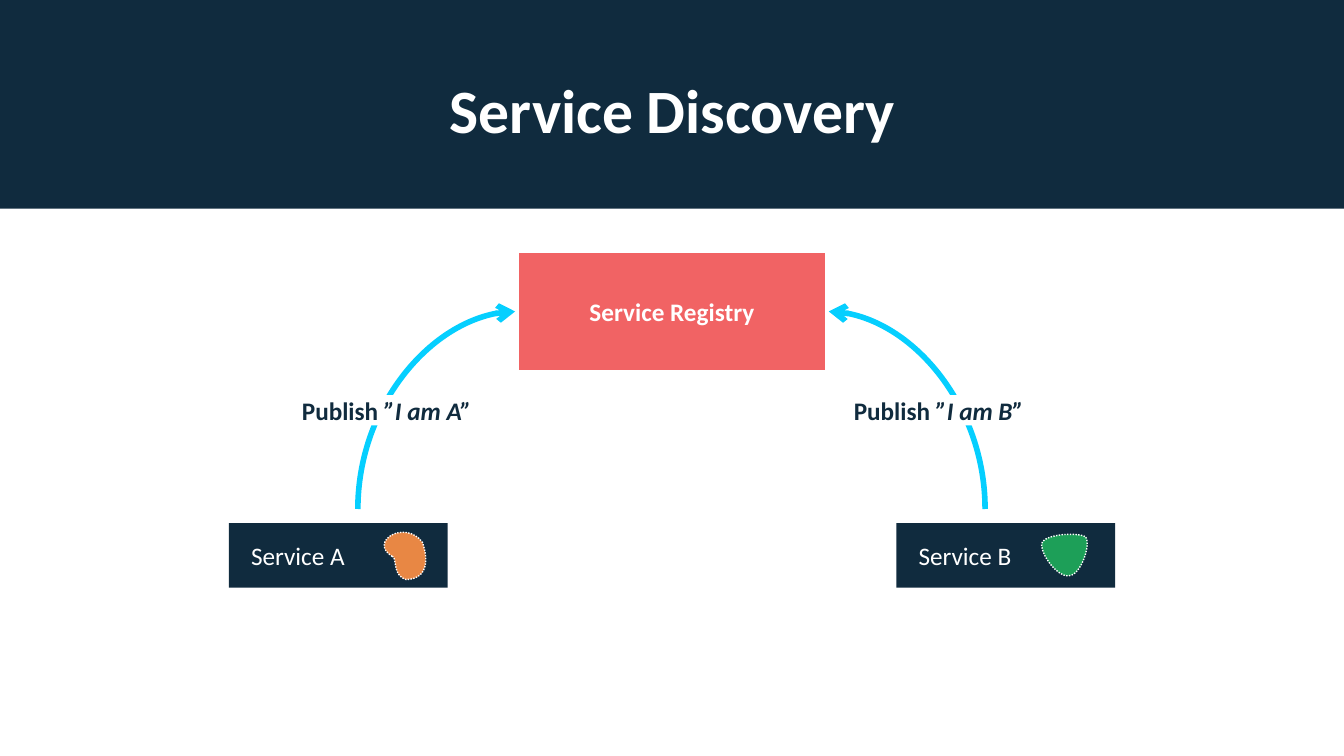
from lxml import etree
from pptx import Presentation
from pptx.dml.color import RGBColor
from pptx.enum.dml import MSO_LINE
from pptx.enum.shapes import MSO_CONNECTOR, MSO_SHAPE
from pptx.enum.text import MSO_ANCHOR, PP_ALIGN
from pptx.oxml.ns import qn
from pptx.util import Inches, Pt

RECTANGLE = MSO_SHAPE.RECTANGLE
CURVE = MSO_CONNECTOR.CURVE
CENTER, LEFT = PP_ALIGN.CENTER, PP_ALIGN.LEFT
MIDDLE = MSO_ANCHOR.MIDDLE
DOTTED = MSO_LINE.ROUND_DOT

FONT = "Calibri"
COLORS = {
    "navy": "102B3E",
    "white": "FFFFFF",
    "coral": "F16364",
    "cyan": "05CFFF",
    "orange": "E88744",
    "green": "1D9F58",
}
REGISTRY_LEFT, REGISTRY_WIDTH = 5.11, 3.11
ARROW_TOP, ARROW_BOTTOM = 3.09, 5.05
CURVE_STEPS = 16


def color(name):
    return RGBColor.from_string(COLORS[name])


def add_box(left, top, width, height, fill, runs=(), text_color="white", bold=False, align=CENTER):
    """Add a plain filled rectangle; runs is a list of (text, italic) pairs."""
    box = slide.shapes.add_shape(
        RECTANGLE, Inches(left), Inches(top), Inches(width), Inches(height))
    box.shadow.inherit = False
    box.fill.solid()
    box.fill.fore_color.rgb = color(fill)
    box.line.fill.background()
    box.text_frame.vertical_anchor = MIDDLE
    paragraph = box.text_frame.paragraphs[0]
    paragraph.alignment = align
    paragraph.font.name = FONT
    paragraph.font.size = Pt(18)
    paragraph.font.bold = bold
    paragraph.font.color.rgb = color(text_color)
    for text, italic in runs:
        run = paragraph.add_run()
        run.text = text
        if italic:
            run.font.italic = True
    return box


prs = Presentation()
prs.slide_width, prs.slide_height = Inches(13.33), Inches(7.5)
slide = prs.slides.add_slide(prs.slide_layouts[5])

# Header band with the title on top of it
title = slide.shapes.title
header = add_box(0, 0, 13.33, 2.07, "navy")
title._element.addprevious(header._element)
title.left, title.top = Inches(0.92), Inches(0.4)
title.width, title.height = Inches(11.5), Inches(1.45)
title.text_frame.text = "Service Discovery"
title.text_frame.vertical_anchor = MIDDLE
heading = title.text_frame.paragraphs[0]
heading.alignment = CENTER
heading.line_spacing = 0.9
heading.font.name = FONT
heading.font.size = Pt(44)
heading.font.bold = True
heading.font.color.rgb = color("white")

registry = add_box(REGISTRY_LEFT, 2.47, REGISTRY_WIDTH, 1.24, "coral",
                   [("Service Registry", False)], bold=True)
registry.line.color.rgb = color("white")
registry.line.width = Pt(5.5)

# Each service: its box, its arrow to the registry, and its blob as a start
# point followed by cubic Bezier segments (two controls and an end point)
services = [
    {"letter": "A", "box_left": 2.27, "registry_side": REGISTRY_LEFT, "arrow_x": 3.55,
     "label_left": 2.56, "label_width": 2.55, "blob_fill": "orange",
     "blob_start": (3.89, 5.52),
     "blob_curves": [((3.65, 5.37), (4.02, 5.15), (4.19, 5.38)),
                     ((4.23, 5.49), (4.28, 5.74), (4.03, 5.75)),
                     ((3.89, 5.71), (3.94, 5.53), (3.89, 5.52))]},
    {"letter": "B", "box_left": 8.89, "registry_side": REGISTRY_LEFT + REGISTRY_WIDTH,
     "arrow_x": 9.77, "label_left": 8.22, "label_width": 2.18, "blob_fill": "green",
     "blob_start": (10.77, 5.33),
     "blob_curves": [((10.82, 5.41), (10.72, 5.7), (10.61, 5.71)),
                     ((10.52, 5.74), (10.34, 5.55), (10.33, 5.4)),
                     ((10.35, 5.29), (10.72, 5.28), (10.77, 5.33))]},
]

for service in services:
    # Quarter curve that leaves the registry sideways and reaches the service from above
    arrow = slide.shapes.add_connector(
        CURVE, Inches(service["registry_side"]), Inches(ARROW_TOP),
        Inches(service["arrow_x"]), Inches(ARROW_BOTTOM))
    arrow.line.color.rgb = color("cyan")
    arrow.line.width = Pt(4)
    properties = arrow._element.spPr
    properties.find(qn("a:prstGeom")).set("prst", "curvedConnector2")
    etree.SubElement(properties.find(qn("a:ln")), qn("a:headEnd"), type="arrow")
    etree.SubElement(properties, qn("a:effectLst"))

    add_box(service["label_left"], 3.92, service["label_width"], 0.3, "white",
            [("Publish ", False), (f"”I am {service['letter']}”", True)],
            text_color="navy", bold=True)

    service_box = add_box(service["box_left"], 5.19, 2.17, 0.64, "navy",
                          [(f"Service {service['letter']}", False)], align=LEFT)
    service_box.text_frame.margin_left = Inches(0.22)

    start = service["blob_start"]
    outline = []
    for control_1, control_2, end in service["blob_curves"]:
        for step in range(1, CURVE_STEPS + 1):
            t = step / CURVE_STEPS
            outline.append(tuple(
                Inches((1 - t) ** 3 * a + 3 * (1 - t) ** 2 * t * b
                       + 3 * (1 - t) * t ** 2 * c + t ** 3 * d)
                for a, b, c, d in zip(start, control_1, control_2, end)))
        start = end
    builder = slide.shapes.build_freeform(*outline[-1])
    builder.add_line_segments(outline[:-1], close=True)
    blob = builder.convert_to_shape()
    blob.shadow.inherit = False
    blob.fill.solid()
    blob.fill.fore_color.rgb = color(service["blob_fill"])
    blob.line.color.rgb = color("white")
    blob.line.width = Pt(1)
    blob.line.dash_style = DOTTED

prs.save("out.pptx")
